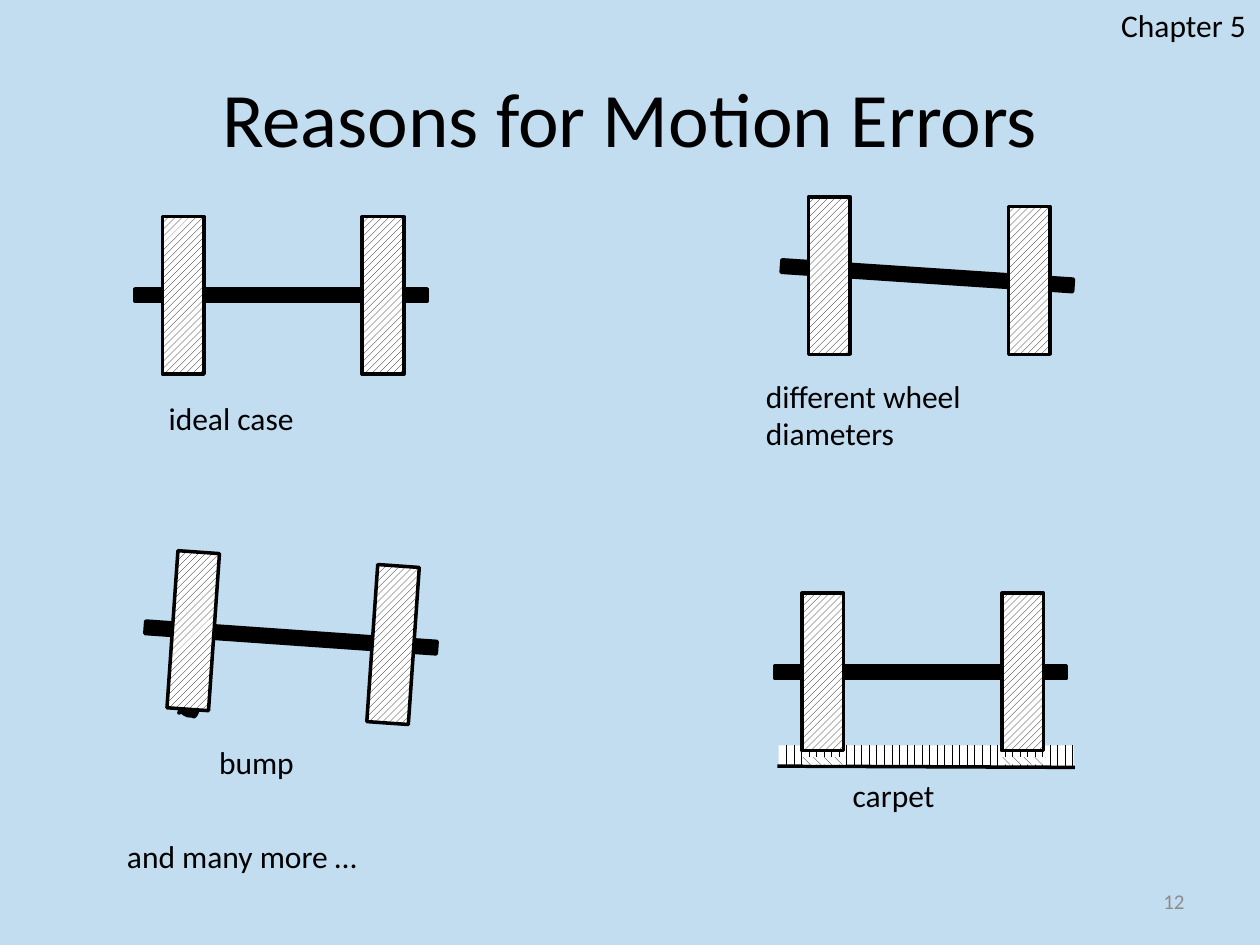
from lxml import etree
from pptx import Presentation
from pptx.dml.color import RGBColor
from pptx.enum import dml, shapes, text
from pptx.oxml.ns import qn
from pptx.util import Pt

FONT = "Calibri"
BLACK, WHITE, GREY, SKY = "000000", "FFFFFF", "8C8C8C", "C2DCF0"
WHEEL_WIDTH, WHEEL_HEIGHT = 23.8, 90
AXLE_LENGTH, AXLE_THICKNESS = 167, 7.2
WHEEL_OFFSETS = (15.7, 129.9)
WHEEL_HATCH = dml.MSO_PATTERN.WIDE_UPWARD_DIAGONAL
PILE_HATCH = dml.MSO_PATTERN.DASHED_VERTICAL
PRESSED_HATCH = dml.MSO_PATTERN.DASHED_DOWNWARD_DIAGONAL

# Each curve: two control points and an end point
BUMP_START = (102.2, 407.5)
BUMP_CURVES = [
    ((103.7, 403.9), (104.4, 404.6), (108.7, 405.4)),
    ((111.6, 404.6), (110.2, 401.8), (113.8, 400.3)),
    ((113.8, 401), (114.5, 401), (114.5, 401)),
    ((115.2, 401.8), (115.2, 401.8), (115.2, 402.5)),
    ((115.9, 402.5), (117.4, 402.5), (118.8, 402.5)),
    ((117.4, 404.6), (116.6, 404.6), (114.5, 404.6)),
    ((112.3, 406.1), (113, 408.2), (110.9, 409.7)),
    ((110.2, 409), (108.7, 409), (107.3, 409)),
    ((102.2, 406.8), (105.1, 406.1), (102.2, 407.5)),
]


def color(hex_code):
    return RGBColor.from_string(hex_code)


def outline(item, width=2):
    item.line.color.rgb = color(BLACK)
    item.line.width = Pt(width)


def write(frame, words, size=18, ink=BLACK, align=text.PP_ALIGN.LEFT):
    frame.text = words
    for paragraph in frame.paragraphs:
        paragraph.alignment = align
        paragraph.font.name = FONT
        paragraph.font.size = Pt(size)
        paragraph.font.color.rgb = color(ink)


def add_label(parent, words, left, top, width, height=37.4, **style):
    box = parent.add_textbox(Pt(left), Pt(top), Pt(width), Pt(height))
    box.text_frame.word_wrap = False
    box.text_frame.auto_size = text.MSO_AUTO_SIZE.SHAPE_TO_FIT_TEXT
    write(box.text_frame, words, **style)
    return box


def add_bar(parent, left, top, width, height, hatch=None, tilt=0, edged=True):
    """Rectangle in solid black, or hatched black on white."""
    bar = parent.add_shape(shapes.MSO_SHAPE.RECTANGLE,
                           Pt(left), Pt(top), Pt(width), Pt(height))
    bar.shadow.inherit = False
    bar.rotation = tilt
    if hatch is None:
        bar.fill.solid()
        bar.fill.fore_color.rgb = color(BLACK)
    else:
        bar.fill.patterned()
        bar.fill.pattern = hatch
        bar.fill.fore_color.rgb = color(BLACK)
        bar.fill.back_color.rgb = color(WHITE)
    if edged:
        outline(bar)
    else:
        bar.line.fill.background()


def add_wheelset(parent, left, top, wheel_tops, axle_tilt=0, wheel_tilt=0,
                 wheel_heights=(WHEEL_HEIGHT, WHEEL_HEIGHT)):
    add_bar(parent, left, top, AXLE_LENGTH, AXLE_THICKNESS, tilt=axle_tilt)
    for offset, wheel_top, height in zip(WHEEL_OFFSETS, wheel_tops, wheel_heights):
        add_bar(parent, left + offset, wheel_top, WHEEL_WIDTH, height,
                hatch=WHEEL_HATCH, tilt=wheel_tilt)


def curve_points(start, curves, steps=6):
    """Points along a chain of cubic Bezier curves."""
    points = []
    for first, second, end in curves:
        for step in range(1, steps + 1):
            t = step / steps
            weights = ((1 - t) ** 3, 3 * t * (1 - t) ** 2, 3 * t * t * (1 - t), t ** 3)
            corners = (start, first, second, end)
            points.append(tuple(Pt(sum(w * c[axis] for w, c in zip(weights, corners)))
                                for axis in (0, 1)))
        start = end
    return points


def add_bump(parent):
    builder = parent.build_freeform(*(Pt(value) for value in BUMP_START))
    builder.add_line_segments(curve_points(BUMP_START, BUMP_CURVES), close=True)
    bump = builder.convert_to_shape()
    bump.shadow.inherit = False
    bump.fill.solid()
    bump.fill.fore_color.rgb = color(BLACK)
    outline(bump)


def add_floor(parent, x1, y1, x2, y2):
    floor = parent.add_connector(shapes.MSO_CONNECTOR.STRAIGHT,
                                 Pt(x1), Pt(y1), Pt(x2), Pt(y2))
    outline(floor)
    etree.SubElement(floor._element.spPr, qn("a:effectLst"))


def draw_bump_case(parent):
    add_bump(parent)
    add_wheelset(parent, 82.8, 360.7, (315.4, 323.3), axle_tilt=4, wheel_tilt=4)
    add_label(parent, "bump", 118.1, 421.2, 94.3)


def draw_ideal_case(parent):
    add_wheelset(parent, 77.1, 165, (123.8, 123.8))
    add_label(parent, "ideal case", 89.3, 224.6, 153.4)


def draw_diameter_case(parent):
    add_wheelset(parent, 446.4, 154, (112.5, 118), axle_tilt=3.8,
                 wheel_heights=(WHEEL_HEIGHT, 84.5))
    add_label(parent, "different wheel\ndiameters", 430.6, 211.7, 224.6, 74.2)


def draw_carpet_case(parent):
    axle_left = 442.6
    add_bar(parent, 445, 426, 168.5, 12.2, hatch=PILE_HATCH, edged=False)
    add_floor(parent, 444.2, 437.8, 614.2, 438.5)
    add_wheelset(parent, axle_left, 380.2, (339, 339))
    add_label(parent, "carpet", 480.2, 439.9, 103)
    for offset in WHEEL_OFFSETS:
        add_bar(parent, axle_left + offset + 0.5, 432.7, 24.5, 4.3,
                hatch=PRESSED_HATCH, edged=False)


def main():
    deck = Presentation()
    deck.slide_width, deck.slide_height = Pt(720), Pt(540)
    slide = deck.slides.add_slide(deck.slide_layouts[5])
    slide.background.fill.solid()
    slide.background.fill.fore_color.rgb = color(SKY)

    title = slide.shapes.title
    title.left, title.top, title.width, title.height = Pt(36), Pt(21.6), Pt(648), Pt(90)
    title.text_frame.vertical_anchor = text.MSO_ANCHOR.MIDDLE
    write(title.text_frame, "Reasons for Motion Errors", size=44,
          align=text.PP_ALIGN.CENTER)

    for draw_case in (draw_bump_case, draw_ideal_case,
                      draw_diameter_case, draw_carpet_case):
        draw_case(slide.shapes.add_group_shape().shapes)

    add_label(slide.shapes, "and many more …", 65.5, 474.5, 270.7)
    add_label(slide.shapes, "Chapter 5", 633.6, 0, 86.4, 28.8)
    page_number = add_label(slide.shapes, "12", 516.2, 500.4, 167.8, 28.8, size=12,
                            ink=GREY, align=text.PP_ALIGN.RIGHT)
    page_number.text_frame.word_wrap = True
    page_number.text_frame.auto_size = text.MSO_AUTO_SIZE.NONE
    page_number.text_frame.vertical_anchor = text.MSO_ANCHOR.MIDDLE
    deck.save("out.pptx")


if __name__ == "__main__":
    main()
